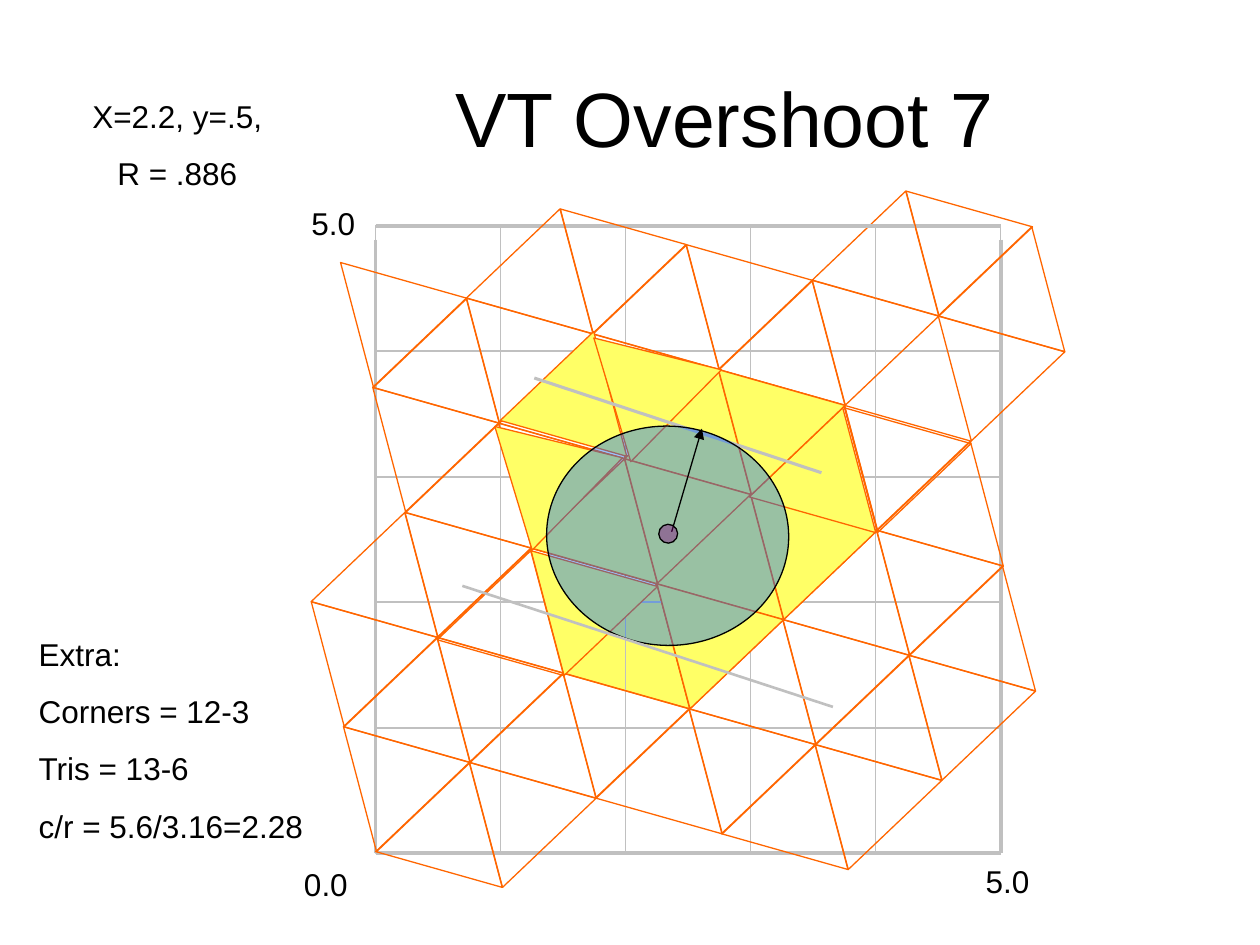
from lxml.etree import SubElement
from pptx import Presentation
from pptx.dml.color import RGBColor
from pptx.enum.shapes import MSO_CONNECTOR, MSO_SHAPE
from pptx.enum.text import MSO_ANCHOR, PP_ALIGN
from pptx.oxml.ns import qn
from pptx.util import Cm, Pt

THEME = {
    "font": "Arial", "title": 44, "body": 18, "before": 11.2,
    "text": "000000", "grid": "C0C0C0", "mesh": "FF6600",
    "cover": "FFFF66", "circle": "0066FF", "center": "800080",
}

# Content: text, left, top, width, height in cm, style, alignment
TEXTS = [
    (["VT Overshoot 7"], 3.18, 0.76, 22.86, 3.18, "title", PP_ALIGN.CENTER),
    (["X=2.2, y=.5,", "R = .886"], 1.52, 1.83, 4.11, 2.18, "body", PP_ALIGN.CENTER),
    (["Extra:", "Corners = 12-3", "Tris = 13-6", "c/r = 5.6/3.16=2.28"],
     0.53, 12.67, 6.76, 5.66, "body", PP_ALIGN.LEFT),
    (["0.0"], 5.16, 17.32, 2.82, 1.02, "body", PP_ALIGN.CENTER),
    (["5.0"], 5.31, 3.99, 2.82, 1.02, "body", PP_ALIGN.CENTER),
    (["5.0"], 18.9, 17.25, 2.82, 1.02, "body", PP_ALIGN.CENTER),
]

# Square grid, in cm
CELLS, GRID_X, GRID_Y, STEP_X, STEP_Y = 5, 7.57, 4.55, 2.52, 2.53
SIDE_TOP = 4.83
OPEN_CELLS = {(2, 1), (2, 2)}

# Triangle mesh: origin, steps along a row and to the next row
ORIGIN, ALONG, NEXT_ROW, TO_DOWN = (10.31, 6.69), (2.54, 0.72), (0.65, 2.52), (1.28, 0.36)
TRI_W, TRI_H, TILT = 2.65, 2.24, 15.8
UP, DOWN = 0, 180
# First and last column of each row
ROWS = {
    UP: {-2: (3, 4), -1: (0, 2), 0: (-1, 3), 1: (-1, 3), 2: (-2, 2), 3: (-2, 1), 4: (-2, -2)},
    DOWN: {-2: (3, 3), -1: (0, 3), 0: (-2, 2), 1: (-2, 2), 2: (-2, 2), 3: (-3, 1), 4: (-3, -2)},
}
BEHIND_GRID = [(0, 2, UP, True), (3, -2, UP, False)]
# Column, row, direction, filled, shift x, shift y, extra tilt
OVERLAYS = [
    (0, 1, UP, True, 0, 0, 0), (1, 0, UP, True, 0, 0, 0),
    (0, 1, DOWN, True, 0, 0, 0), (1, 1, DOWN, True, 0, 0, 0),
    (1, 1, UP, True, 0, 0, 0), (0, 2, DOWN, True, 0, 0, 0),
    (-1, 2, DOWN, True, 0, 0.05, 0), (-1, 2, UP, False, 0, 0.05, 0),
    (2, 0, UP, True, -0.03, 0.05, 0), (2, 0, DOWN, False, 0, 0.05, 0),
    (1, 0, DOWN, True, 0, 0, 0), (0, 0, UP, True, 0.03, -0.05, 0),
    (0, 0, DOWN, True, 0.07, 0.05, -1.8), (-1, 1, DOWN, True, -0.03, 0.03, -2),
]

prs = Presentation()
prs.slide_width, prs.slide_height = Cm(25.4), Cm(19.05)
s = prs.slides.add_slide(prs.slide_layouts[6])


def rgb(name):
    return RGBColor.from_string(THEME[name])


def add_shape(kind, x, y, w, h, line, fill=None, alpha=None, rot=0):
    sp = s.shapes.add_shape(kind, Cm(x), Cm(y), Cm(w), Cm(h))
    sp.shadow.inherit = False
    sp.rotation = rot
    sp.line.color.rgb, sp.line.width = rgb(line), Pt(0.75)
    if fill is None:
        sp.fill.background()
        return
    sp.fill.solid()
    sp.fill.fore_color.rgb = rgb(fill)
    if alpha:
        color = sp.fill._xPr.find(qn("a:solidFill"))[0]
        SubElement(color, qn("a:alpha"), val=str(alpha * 1000))


def add_line(x1, y1, x2, y2, color, width, arrow=False):
    cx = s.shapes.add_connector(MSO_CONNECTOR.STRAIGHT, Cm(x1), Cm(y1), Cm(x2), Cm(y2))
    cx.line.color.rgb, cx.line.width = rgb(color), Pt(width)
    if arrow:
        SubElement(cx.line._get_or_add_ln(), qn("a:tailEnd"), type="triangle")
    SubElement(cx._element.spPr, qn("a:effectLst"))


def add_triangle(col, row, turn, filled=False, dx=0, dy=0, extra=0):
    x, y = (ORIGIN[k] + col * ALONG[k] + row * NEXT_ROW[k]
            + (TO_DOWN[k] if turn == DOWN else 0) for k in (0, 1))
    add_shape(MSO_SHAPE.ISOSCELES_TRIANGLE, x + dx, y + dy, TRI_W, TRI_H,
              "mesh", "cover" if filled else None, rot=TILT + turn + extra)


def add_text(lines, x, y, w, h, style, align):
    tf = s.shapes.add_textbox(Cm(x), Cm(y), Cm(w), Cm(h)).text_frame
    tf.word_wrap = True
    tf.vertical_anchor = MSO_ANCHOR.MIDDLE if style == "title" else MSO_ANCHOR.TOP
    tf.text = "\n".join(lines)
    for p in tf.paragraphs:
        p.alignment = align
        if style == "body":
            p.space_before = Pt(THEME["before"])
        for r in p.runs:
            r.font.name, r.font.size = THEME["font"], Pt(THEME[style])
            r.font.color.rgb = rgb("text")


# Triangles behind the grid
for tri in BEHIND_GRID:
    add_triangle(*tri)

# Grid cells, then the grid lines with a heavy border
for row in range(CELLS):
    for col in range(CELLS):
        if (col, row) not in OPEN_CELLS:
            add_shape(MSO_SHAPE.RECTANGLE, GRID_X + col * STEP_X, GRID_Y + row * STEP_Y,
                      STEP_X, STEP_Y, "grid")
right, bottom = GRID_X + CELLS * STEP_X, GRID_Y + CELLS * STEP_Y
for n in range(CELLS + 1):
    width = 2.25 if n in (0, CELLS) else 1
    x, y = GRID_X + n * STEP_X, GRID_Y + n * STEP_Y
    add_line(GRID_X, y, right, y, "grid", width)
    add_line(x, SIDE_TOP, x, bottom, "grid", width)

# Triangle mesh, then the covered triangles on top
behind = {tri[:3] for tri in BEHIND_GRID}
for turn, rows in ROWS.items():
    for row, (first, last) in rows.items():
        for col in range(first, last + 1):
            if (col, row, turn) not in behind:
                add_triangle(col, row, turn)
for tri in OVERLAYS:
    add_triangle(*tri)

# Circle with its radius, center and two guide lines
add_line(16.56, 9.53, 10.77, 7.62, "grid", 1.75)
add_shape(MSO_SHAPE.OVAL, 11.02, 8.59, 4.88, 4.42, "text", "circle", 40, 2.5)
add_line(13.54, 10.72, 14.15, 8.64, "text", 0.75, arrow=True)
add_line(16.79, 14.25, 9.32, 11.81, "grid", 1.5)
add_shape(MSO_SHAPE.OVAL, 13.28, 10.57, 0.38, 0.38, "text", "center", 40, 58)

# Title and labels
for text in TEXTS:
    add_text(*text)

prs.save("out.pptx")
